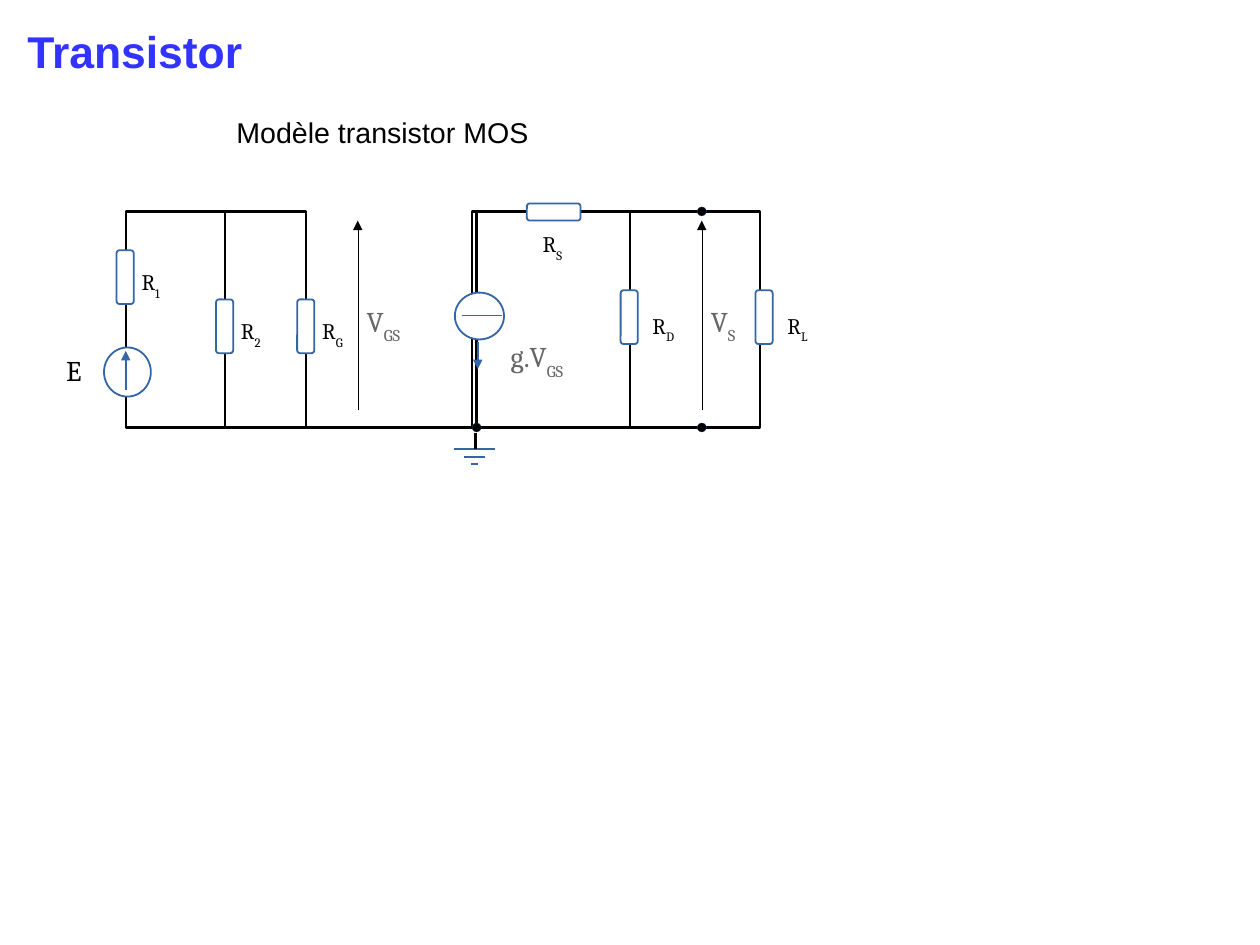
from dataclasses import dataclass

from lxml.etree import SubElement
from pptx import Presentation
from pptx.dml.color import RGBColor
from pptx.enum.shapes import MSO_CONNECTOR, MSO_SHAPE as Preset
from pptx.enum.text import MSO_ANCHOR as Anchor, MSO_AUTO_SIZE as AutoSize, PP_ALIGN as Align
from pptx.oxml.ns import qn
from pptx.slide import Slide
from pptx.util import Cm, Inches, Pt


@dataclass(frozen=True)
class Theme:
    black: str = "000000"
    white: str = "FFFFFF"
    blue: str = "3465A4"
    title_blue: str = "3333FF"
    grey: str = "666666"
    heading_font: str = "Arial"
    symbol_font: str = "Cambria"
    title_size: int = 28
    text_size: int = 18
    small_size: int = 14
    wire_width: float = 1.42
    symbol_width: float = 1.13
    hairline: float = 0.1


THEME = Theme()
TOP, BOTTOM = 1.85, 3.74
RESISTOR_SHORT, RESISTOR_LONG = 0.15, 0.47
DOT = 0.08


@dataclass(frozen=True)
class Block:
    """A preset shape; without a fill it is only an outline."""
    left: float
    top: float
    width: float
    height: float
    preset: Preset = Preset.RECTANGLE
    fill: str | None = None
    line: str = THEME.black
    line_width: float = THEME.wire_width


@dataclass(frozen=True)
class Line:
    start: tuple[float, float]
    end: tuple[float, float]
    color: str = THEME.blue
    width: float = THEME.symbol_width
    arrow: bool = False


@dataclass(frozen=True)
class Label:
    left: float
    top: float
    text: str
    subscript: str = ""
    size: int = THEME.small_size
    color: str = THEME.black
    font: str = THEME.symbol_font
    width: float = 0.81
    height: float = 0.47


def loop(left: float, right: float) -> Block:
    """A rectangular wire loop between the two rails."""
    return Block(left, TOP, right - left, BOTTOM - TOP)


def resistor(left: float, top: float, upright: bool = True) -> Block:
    size = (RESISTOR_SHORT, RESISTOR_LONG) if upright else (RESISTOR_LONG, RESISTOR_SHORT)
    return Block(left, top, *size, Preset.ROUNDED_RECTANGLE,
                 THEME.white, THEME.blue, THEME.symbol_width)


def source(left: float, top: float, width: float, height: float) -> Block:
    return Block(left, top, width, height, Preset.OVAL,
                 THEME.white, THEME.blue, THEME.symbol_width)


def node(x: float, y: float) -> Block:
    return Block(x - DOT / 2, y - DOT / 2, DOT, DOT, Preset.OVAL,
                 THEME.black, THEME.blue, THEME.hairline)


def voltage(x: float) -> Line:
    return Line((x, 3.59), (x, 1.93), THEME.black, THEME.hairline, True)


def ground_bar(y: float, half: float) -> Line:
    return Line((4.15 - half, y), (4.15 + half, y))


CIRCUIT = [
    loop(4.17, 5.51), loop(1.97, 2.68), loop(4.13, 6.65), loop(1.1, 1.97),
    Line((1.97, BOTTOM), (4.17, BOTTOM), THEME.black, THEME.wire_width),
    ground_bar(3.93, 0.18), ground_bar(4, 0.09), ground_bar(4.06, 0.03),
    Line((4.16, 3.79), (4.16, 3.93), THEME.black, THEME.wire_width),
    source(0.91, 3.04, 0.41, 0.43), Line((1.1, 3.41), (1.1, 3.07), arrow=True),
    node(4.17, BOTTOM), node(6.14, BOTTOM), node(6.14, TOP),
    voltage(3.13), voltage(6.14),
    resistor(1.02, 2.19), resistor(1.89, 2.62), resistor(2.6, 2.62),
    resistor(5.43, 2.54), resistor(6.61, 2.54), resistor(4.61, 1.78, upright=False),
    source(3.98, 2.56, 0.43, 0.41), Line((4.04, 2.76), (4.39, 2.76)),
    Line((4.18, 2.99), (4.18, 3.23), arrow=True),
]

LABELS = [
    Label(0.48, 3.04, "E", size=THEME.text_size),
    Label(1.14, 2.3, "R", "1"),
    Label(2.01, 2.73, "R", "2"),
    Label(2.72, 2.73, "R", "G"),
    Label(4.65, 1.97, "R", "S"),
    Label(5.61, 2.68, "R", "D"),
    Label(6.79, 2.68, "R", "L"),
    Label(3.11, 2.61, "V", "GS", THEME.text_size, THEME.grey),
    Label(6.12, 2.61, "V", "S", THEME.text_size, THEME.grey),
    Label(4.37, 2.92, "g.V", "GS", THEME.text_size, THEME.grey),
    Label(1.97, 0.96, "Modèle transistor MOS", size=THEME.text_size,
          font=THEME.heading_font, width=2.8, height=0.38),
]
TITLE = Label(0.14, 0.16, "Transistor", size=THEME.title_size, color=THEME.title_blue,
              font=THEME.heading_font, width=2.15, height=0.53)


def set_all(target, values: dict) -> None:
    for name, value in values.items():
        setattr(target, name, value)


def place(item: Block | Label) -> dict:
    return {name: Inches(getattr(item, name)) for name in ("left", "top", "width", "height")}


def draw_block(slide: Slide, block: Block) -> None:
    shape = slide.shapes.add_shape(block.preset, **place(block))
    shape.shadow.inherit = False
    if block.fill is None:
        shape.fill.background()
    else:
        shape.fill.solid()
        shape.fill.fore_color.rgb = RGBColor.from_string(block.fill)
    shape.line.color.rgb = RGBColor.from_string(block.line)
    shape.line.width = Pt(block.line_width)


def draw_line(slide: Slide, line: Line) -> None:
    ends = (Inches(value) for value in (*line.start, *line.end))
    connector = slide.shapes.add_connector(MSO_CONNECTOR.STRAIGHT, *ends)
    connector.line.color.rgb = RGBColor.from_string(line.color)
    connector.line.width = Pt(line.width)
    properties = connector._element.spPr
    if line.arrow:
        SubElement(properties.find(qn("a:ln")), qn("a:tailEnd"), type="triangle")
    SubElement(properties, qn("a:effectLst"))


def write_label(shape, label: Label, bold: bool = False) -> None:
    frame = shape.text_frame
    set_all(frame, {
        "word_wrap": True, "auto_size": AutoSize.NONE, "vertical_anchor": Anchor.TOP,
        "margin_left": Inches(0.1), "margin_right": Inches(0.1),
        "margin_top": Inches(0.05), "margin_bottom": Inches(0.05),
    })
    paragraph = frame.paragraphs[0]
    paragraph.alignment = Align.LEFT
    for text, baseline in ((label.text, None), (label.subscript, "-33000")):
        if not text:
            continue
        run = paragraph.add_run()
        run.text = text
        set_all(run.font, {"name": label.font, "size": Pt(label.size), "bold": bold})
        run.font.color.rgb = RGBColor.from_string(label.color)
        if baseline:
            run._r.get_or_add_rPr().set("baseline", baseline)


def main() -> None:
    presentation = Presentation()
    presentation.slide_width = Cm(28)
    presentation.slide_height = Cm(21)
    slide = presentation.slides.add_slide(presentation.slide_layouts.get_by_name("Title Only"))
    set_all(slide.shapes.title, place(TITLE))
    write_label(slide.shapes.title, TITLE, bold=True)
    for part in CIRCUIT:
        if isinstance(part, Line):
            draw_line(slide, part)
        else:
            draw_block(slide, part)
    for label in LABELS:
        write_label(slide.shapes.add_textbox(**place(label)), label)
    presentation.save("out.pptx")


if __name__ == "__main__":
    main()
